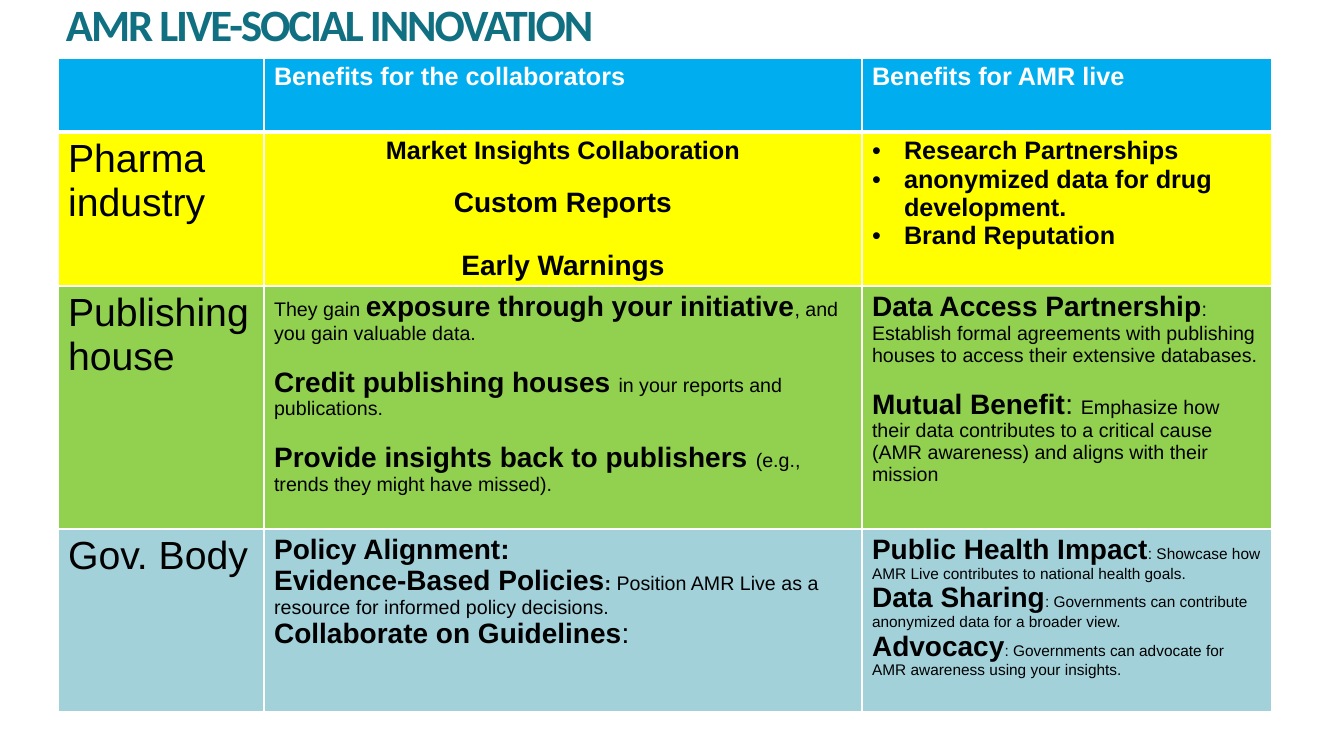
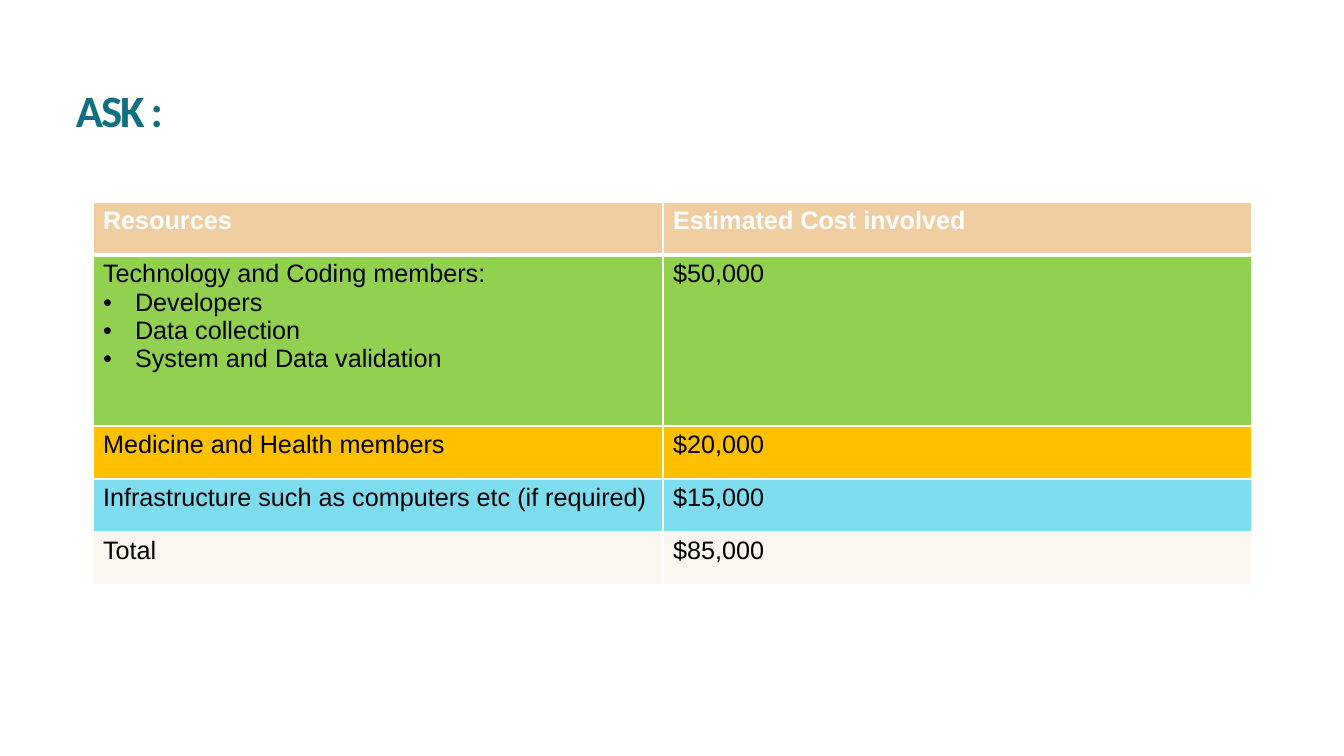
from dataclasses import dataclass

from lxml import etree
from pptx import Presentation, util as u
from pptx.dml.color import RGBColor
from pptx.enum import text
from pptx.oxml.ns import qn

WIDE, HIGH = 1344, 756
SCALE = u.Inches(7.5) / HIGH
WHITE, BLACK, TEAL = "FFFFFF", "000000", "107082"
GREEN = "92D050"


@dataclass
class Para:
    """One paragraph; each run is (text, size, bold)."""
    runs: list
    gap: int = 0
    bullet: bool = False
    mid: bool = False


def px(n):
    return u.Emu(round(n * SCALE))


def rgb(code):
    return RGBColor.from_string(code)


def plain(words, size=18, bold=False, **look):
    return Para([(words, size, bold)], **look)


def key(words):
    return words, 20, True


def note(words, size=14):
    return words, size, False


def style(font, size, bold):
    font.size, font.bold = u.Pt(size), bold


def edge(cell, side, width):
    props = cell._tc.get_or_add_tcPr()
    line = etree.SubElement(props, qn("a:ln" + side), w=str(u.Pt(width)))
    fill = etree.SubElement(line, qn("a:solidFill"))
    etree.SubElement(fill, qn("a:srgbClr"), val=WHITE)


def add_dot(para):
    props = para._p.get_or_add_pPr()
    props.set("marL", str(px(32)))
    props.set("indent", str(-px(32)))
    etree.SubElement(props, qn("a:buFont"), typeface="Arial")
    etree.SubElement(props, qn("a:buChar"), char="•")


def write(frame, paras, color):
    for i, item in enumerate(paras):
        para = frame.add_paragraph() if i else frame.paragraphs[0]
        if item.gap:
            para.space_before = u.Pt(item.gap)
        if item.mid:
            para.alignment = text.PP_ALIGN.CENTER
        if item.bullet:
            add_dot(para)
        para.font.name, para.font.color.rgb = "Arial", rgb(color)
        for words, size, bold in item.runs:
            run = para.add_run()
            run.text = words
            style(run.font if len(item.runs) > 1 else para.font, size, bold)


def add_title(slide, words, x, y, w, h):
    title = slide.shapes.title
    title.left, title.top, title.width, title.height = map(px, (x, y, w, h))
    frame = title.text_frame
    frame.margin_left = frame.margin_right = 0
    frame.margin_top = frame.margin_bottom = 0
    frame.vertical_anchor = text.MSO_ANCHOR.TOP
    frame.auto_size = text.MSO_AUTO_SIZE.NONE
    para = frame.paragraphs[0]
    para.alignment, para.line_spacing = text.PP_ALIGN.LEFT, 0.9
    run = para.add_run()
    run.text = words
    run._r.get_or_add_rPr().set("spc", "-150")
    style(para.font, 32, True)
    para.font.name, para.font.color.rgb = "Calibri", rgb(TEAL)


def add_grid(slide, x, y, cols, rows):
    """Rows are (height, fill, cells); the first is the header."""
    high = sum(row[0] for row in rows)
    box = map(px, (x, y, sum(cols), high))
    table = slide.shapes.add_table(len(rows), len(cols), *box).table
    table.horz_banding = False
    for col, width in zip(table.columns, cols):
        col.width = px(width)
    for r, (height, fill, cells) in enumerate(rows):
        table.rows[r].height = px(height)
        for c, paras in enumerate(cells):
            cell = table.cell(r, c)
            for side, width in (("L", 1), ("R", 1), ("T", 3 if r == 1 else 1),
                                ("B", 1 if r else 3)):
                edge(cell, side, width)
            cell.fill.solid()
            cell.fill.fore_color.rgb = rgb(fill)
            write(cell.text_frame, paras, BLACK if r else WHITE)


def add_gains(slide):
    add_title(slide, "AMR LIVE-SOCIAL INNOVATION", 66, 3, 1029, 59)
    header = [[], [plain("Benefits for the collaborators", bold=True)],
              [plain("Benefits for AMR live", bold=True)]]
    pharma = [
        [plain("Pharma industry", 28)],
        [plain("Market Insights Collaboration", bold=True, mid=True),
         plain("Custom Reports", 20, True, gap=16, mid=True),
         plain("Early Warnings", 20, True, gap=22, mid=True)],
        [plain(words, bold=True, bullet=True) for words in (
            "Research Partnerships",
            "anonymized data for drug development.",
            "Brand Reputation")],
    ]
    press = [
        [plain("Publishing house", 28)],
        [Para([note("They gain "), key("exposure through your initiative"),
               note(", and you gain valuable data.")]),
         Para([key("Credit publishing houses "),
               note("in your reports and publications.")], gap=16),
         Para([key("Provide insights back to publishers "),
               note("(e.g., trends they might have missed).")], gap=16)],
        [Para([key("Data Access Partnership"),
               note(": Establish formal agreements with publishing houses "
                    "to access their extensive databases.")]),
         Para([key("Mutual Benefit"), note(": ", 20),
               note("Emphasize how their data contributes to a critical "
                    "cause (AMR awareness) and aligns with their mission")],
              gap=16)],
    ]
    state = [
        [plain("Gov. Body", 28)],
        [Para([key("Policy Alignment:")]),
         Para([key("Evidence-Based Policies"), (": ", 14, True),
               note("Position AMR Live as a resource for informed policy "
                    "decisions.")]),
         Para([key("Collaborate on Guidelines"), note(":", 20)])],
        [Para([key(head), note(words, 11)]) for head, words in (
            ("Public Health Impact",
             ": Showcase how AMR Live contributes to national health goals."),
            ("Data Sharing",
             ": Governments can contribute anonymized data for a broader "
             "view."),
            ("Advocacy",
             ": Governments can advocate for AMR awareness using your "
             "insights."))],
    ]
    add_grid(slide, 58, 58, (206, 598, 410), [
        (74, "00AEEF", header), (154, "FFFF00", pharma),
        (243, GREEN, press), (183, "A2D1DA", state)])


def add_ask(slide):
    add_title(slide, "ASK :", 76, 89, 834, 40)
    team = [plain("Technology and Coding members:")] + [
        plain(words, bullet=True) for words in (
            "Developers", "Data collection", "System and Data validation")]
    header = [[plain(words, bold=True)]
              for words in ("Resources", "Estimated Cost involved")]
    rows = [(53, "F0CDA1", header), (171, GREEN, [team, [plain("$50,000")]])]
    for fill, name, cost in (
            ("FFC000", "Medicine and Health members", "$20,000"),
            ("7DDDEF", "Infrastructure such as computers etc (if required)",
             "$15,000"),
            ("FCF6F0", "Total", "$85,000")):
        rows.append((53, fill, [[plain(name)], [plain(cost)]]))
    add_grid(slide, 93, 202, (570, 589), rows)


def main():
    deck = Presentation()
    deck.slide_width, deck.slide_height = px(WIDE), px(HIGH)
    for build in (add_gains, add_ask):
        build(deck.slides.add_slide(deck.slide_layouts[5]))
    deck.save("out.pptx")


if __name__ == "__main__":
    main()
